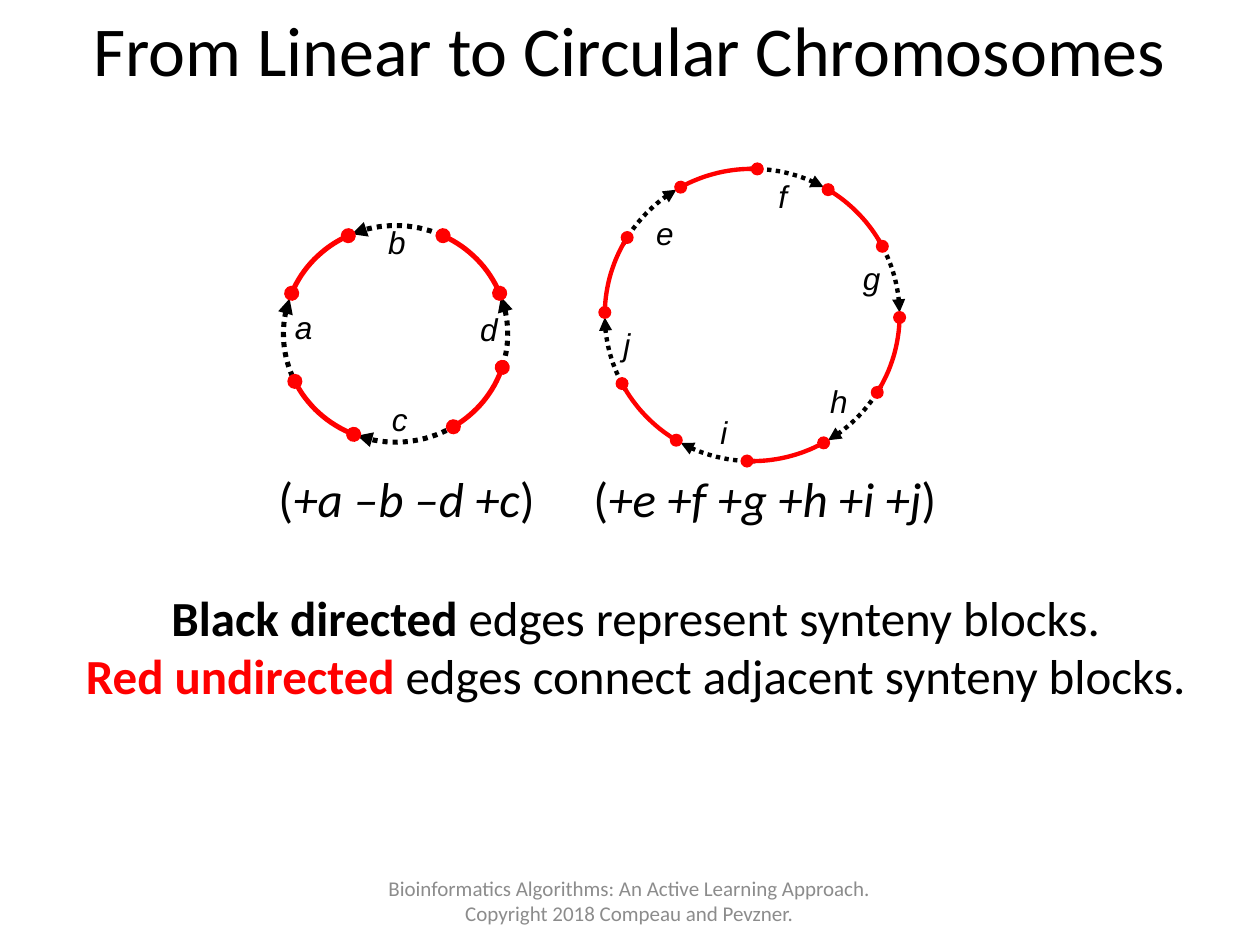
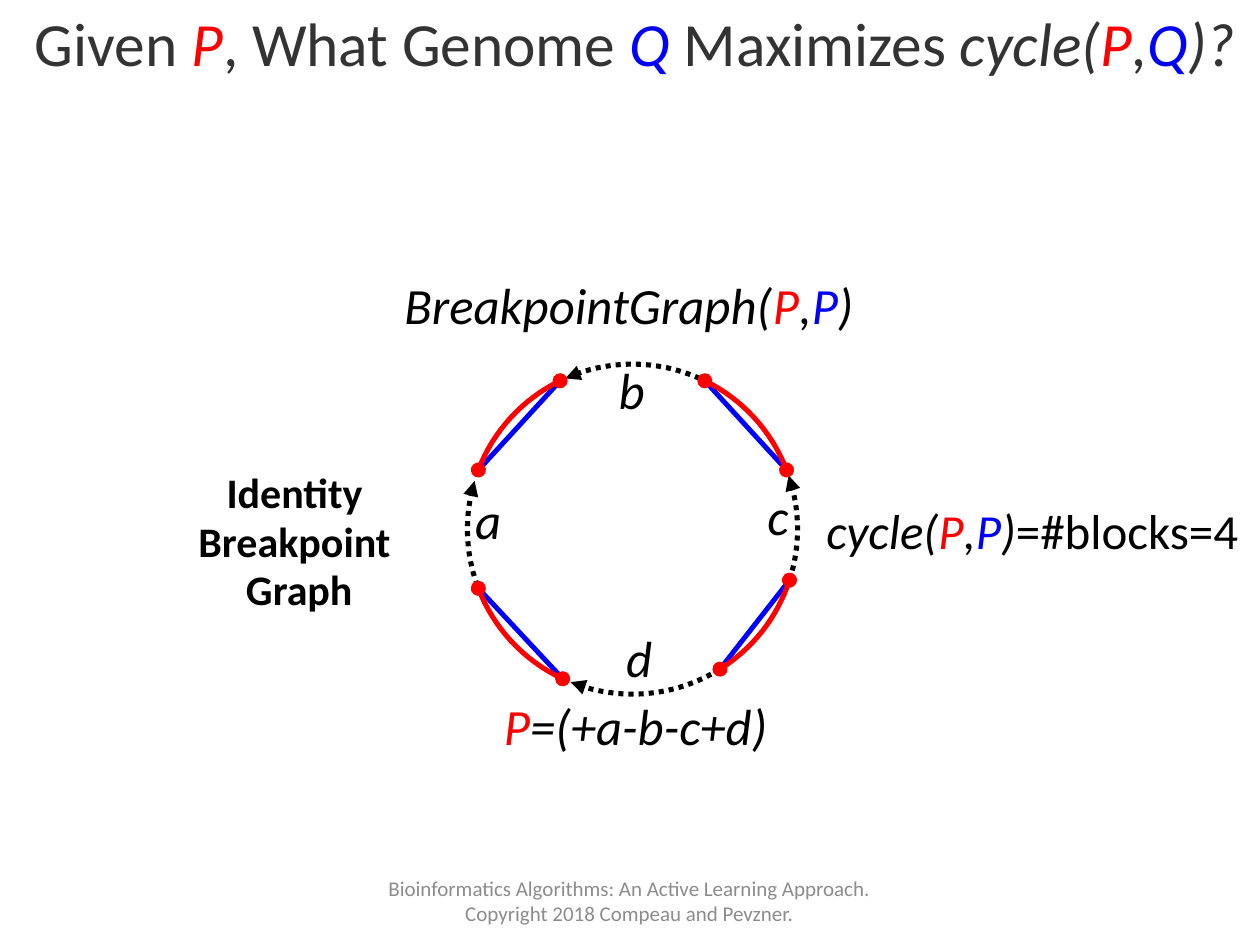
import math

from lxml import etree
from pptx import Presentation
from pptx import util as u
from pptx.dml import color
from pptx.enum import dml, shapes, text
from pptx.oxml import ns

COLORS = {"black": "000000", "red": "FF0000", "blue": "0000FF",
          "slate": "333333", "gray": "8C8C8C"}
CENTER = text.PP_ALIGN.CENTER
MIDDLE = text.MSO_ANCHOR.MIDDLE
NO_INSET = dict.fromkeys(
    ["margin_left", "margin_top", "margin_right", "margin_bottom"], 0)
TIGHT = {"frame": {**NO_INSET, "word_wrap": False},
         "paragraph": {"line_spacing": 0.63}}
LOOSE = {"frame": {"word_wrap": False}, "paragraph": {}}
FOOTER = ("Bioinformatics Algorithms: An Active Learning Approach. "
          "Copyright 2018 Compeau and Pevzner.")

deck = Presentation()
deck.slide_width, deck.slide_height = u.Inches(10), u.Inches(7.5)
CELL = deck.slide_width / 10


def write(box, place, paragraphs, size, look, font="Calibri"):
    box.left, box.top, box.width, box.height = [round(n * CELL) for n in place]
    frame = box.text_frame
    settings = {"auto_size": text.MSO_AUTO_SIZE.NONE, "word_wrap": True,
                "vertical_anchor": text.MSO_ANCHOR.TOP, **look["frame"]}
    for name, value in settings.items():
        setattr(frame, name, value)
    for index, runs in enumerate(paragraphs):
        paragraph = frame.paragraphs[0] if index == 0 else frame.add_paragraph()
        for name, value in look["paragraph"].items():
            setattr(paragraph, name, value)
        for words, style in runs:
            run = paragraph.add_run()
            run.text = words
            marks = style.split()
            tint = next((m for m in marks if m in COLORS), "black")
            run.font.color.rgb = color.RGBColor.from_string(COLORS[tint])
            values = {"name": font, "size": u.Pt(size),
                      "bold": "b" in marks, "italic": "i" in marks}
            for name, value in values.items():
                setattr(run.font, name, value)


def draw_edge(slide, ring, start, end, tint, width):
    cx, cy, rx, ry = ring
    angles = [math.radians(start + (end - start) * step / 16) for step in range(17)]
    points = [(round((cx + rx * math.cos(a)) * CELL),
               round((cy - ry * math.sin(a)) * CELL)) for a in angles]
    if tint == "blue":
        edge = slide.shapes.add_connector(
            shapes.MSO_CONNECTOR.STRAIGHT, *points[0], *points[-1])
        etree.SubElement(edge.element.spPr, ns.qn("a:effectLst"))
    else:
        builder = slide.shapes.build_freeform(*points[0])
        builder.add_line_segments(points[1:], close=False)
        edge = builder.convert_to_shape()
        edge.fill.background()
        edge.shadow.inherit = False
    edge.line.color.rgb = color.RGBColor.from_string(COLORS[tint])
    edge.line.width = u.Pt(width)
    if tint == "black":
        edge.line.dash_style = dml.MSO_LINE.ROUND_DOT
    ends = {"red": {"headEnd": "oval", "tailEnd": "oval"},
            "black": {"tailEnd": "triangle"}, "blue": {}}[tint]
    for tag, kind in ends.items():
        etree.SubElement(edge.line._get_or_add_ln(), ns.qn(f"a:{tag}"), type=kind)


circular = deck.slides.add_slide(deck.slide_layouts[1])
identity = deck.slides.add_slide(deck.slide_layouts[5])

small_ring = (3.14, 2.65, 0.89, 0.86)
large_ring = (5.97, 2.5, 1.17, 1.16)
identity_ring = (5.02, 4.2, 1.31, 1.31)
identity_links = [(21, 64), (116, 159), (201, 245), (302, 342)]
sixths = range(0, 360, 60)

edge_groups = [
    (circular, small_ring, "black", 2.89,
     [(203, 161), (343, 380), (66, 113), (297, 250)]),
    (circular, small_ring, "red", 2.89,
     [(22, 65), (115, 158), (206, 248), (301, 342)]),
    (circular, large_ring, "black", 2.5, [(91 - k, 61 - k) for k in sixths]),
    (circular, large_ring, "red", 2.5, [(59 - k, 28 - k) for k in sixths]),
    (identity, identity_ring, "blue", 2.83, identity_links),
    (identity, identity_ring, "black", 2.89,
     [(200, 163), (342, 379), (66, 114), (302, 248)]),
    (identity, identity_ring, "red", 2.89, identity_links),
]
for slide, ring, tint, width, spans in edge_groups:
    for start, end in spans:
        draw_edge(slide, ring, start, end, tint, width)

block_groups = [
    (circular, TIGHT, 18, "Arial", 0.25, 0.4,
     {"a": (2.34, 2.54), "b": (3.08, 1.87), "c": (3.11, 3.27), "d": (3.81, 2.56)}),
    (circular, LOOSE, 18, "Arial", 0.33, 0.4,
     {"e": (5.11, 1.65), "f": (6.08, 1.36), "g": (6.75, 2.01),
      "h": (6.49, 2.98), "i": (5.62, 3.23), "j": (4.85, 2.53)}),
    (identity, TIGHT, 29, "Calibri", 0.28, 0.5,
     {"a": (3.77, 4.04), "b": (4.91, 3.01), "c": (6.09, 4.01), "d": (4.97, 5.13)}),
]
for slide, look, size, font, width, height, blocks in block_groups:
    for block, corner in blocks.items():
        label = slide.shapes.add_textbox(0, 0, 0, 0)
        write(label, (*corner, width, height), [[(block, "i")]], size, look, font)

write(circular.shapes.title, (0.58, 0, 8.83, 1.05),
      [[("From Linear to Circular Chromosomes", "")]], 40,
      {"frame": {}, "paragraph": {"alignment": CENTER}})
write(identity.shapes.title, (0, 0, 10.08, 0.65),
      [[("Given ", "slate"), ("P", "red i"), (", What Genome ", "slate"),
        ("Q ", "blue i"), ("Maximizes ", "slate"), ("cycle(", "slate i"),
        ("P", "red i"), (",", "slate i"), ("Q", "blue i"), (")?", "slate i")]],
      35.1, {"frame": {**NO_INSET, "vertical_anchor": MIDDLE},
             "paragraph": {"alignment": CENTER, "line_spacing": 1.02}})

legend = circular.placeholders[1]
write(legend, (0.17, 3.67, 9.75, 1.99),
      [[("(", ""), ("+a –b –d +c", "i"), (")\t(", ""),
        ("+e +f +g +h +i +j", "i"), (")", "")],
       [("Black directed", "b"), (" edges represent synteny blocks.", "")],
       [("Red undirected ", "red b"), ("edges connect adjacent synteny blocks.", "")]],
      28, {"frame": {}, "paragraph": {"alignment": CENTER, "space_before": u.Pt(0)}})
genomes, black_rule, red_rule = legend.text_frame.paragraphs
genomes.alignment = text.PP_ALIGN.LEFT
black_rule.space_before = u.Pt(34)
for paragraph, indent in ((genomes, 1.94), (black_rule, 0), (red_rule, 0)):
    properties = paragraph._p.get_or_add_pPr()
    properties.set("marL", str(round(indent * CELL)))
    properties.set("indent", "0")
    etree.SubElement(properties, ns.qn("a:buNone"))
stops = etree.SubElement(genomes._p.pPr, ns.qn("a:tabLst"))
etree.SubElement(stops, ns.qn("a:tab"), pos=str(round(4.41 * CELL)), algn="l")

captions = [
    ((1.25, 3.74, 2.25, 1.17),
     [[("Identity ", "b")], [("Breakpoint ", "b")], [("Graph", "b")]], 24,
     {"frame": {**NO_INSET, "vertical_anchor": MIDDLE},
      "paragraph": {"alignment": CENTER, "line_spacing": 0.8,
                    "space_before": u.Pt(4.5)}}),
    ((3.21, 2.33, 3.55, 0.65),
     [[("BreakpointGraph(", "i"), ("P", "red i"), (",", "i"),
       ("P", "blue i"), (")", "i")]], 29, TIGHT),
    ((4, 5.67, 2.83, 0.75), [[("P", "red i"), ("=(+a-b-c+d)", "i")]], 29, TIGHT),
    ((6.46, 3.92, 3.5, 0.57),
     [[("cycle(", "i"), ("P", "red i"), (",", "i"), ("P", "blue i"),
       (")", "i"), ("=#blocks=4", "")]], 28, LOOSE),
]
for place, lines, size, look in captions:
    write(identity.shapes.add_textbox(0, 0, 0, 0), place, lines, size, look)

for slide in deck.slides:
    write(slide.shapes.add_textbox(0, 0, 0, 0), (2.83, 6.95, 4.33, 0.4),
          [[(FOOTER, "gray")]], 12,
          {"frame": {"vertical_anchor": MIDDLE}, "paragraph": {"alignment": CENTER}})

deck.save("out.pptx")
